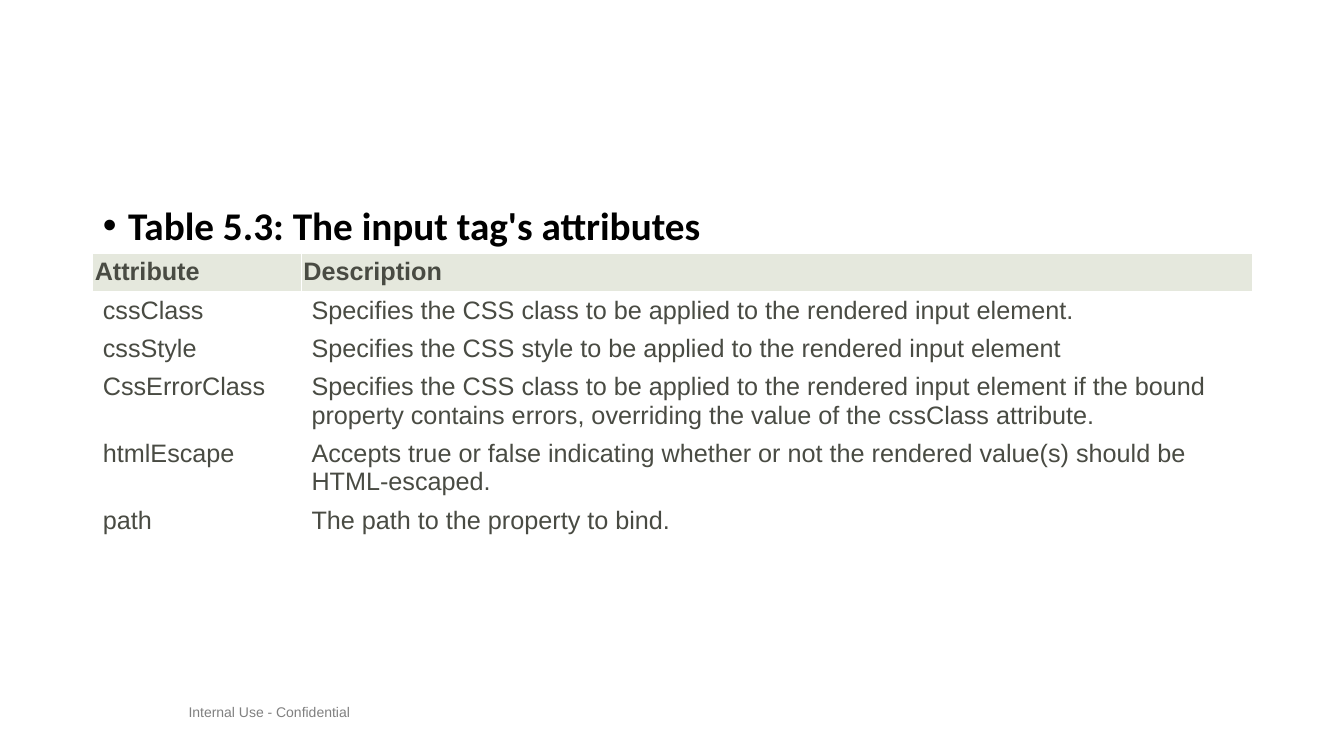
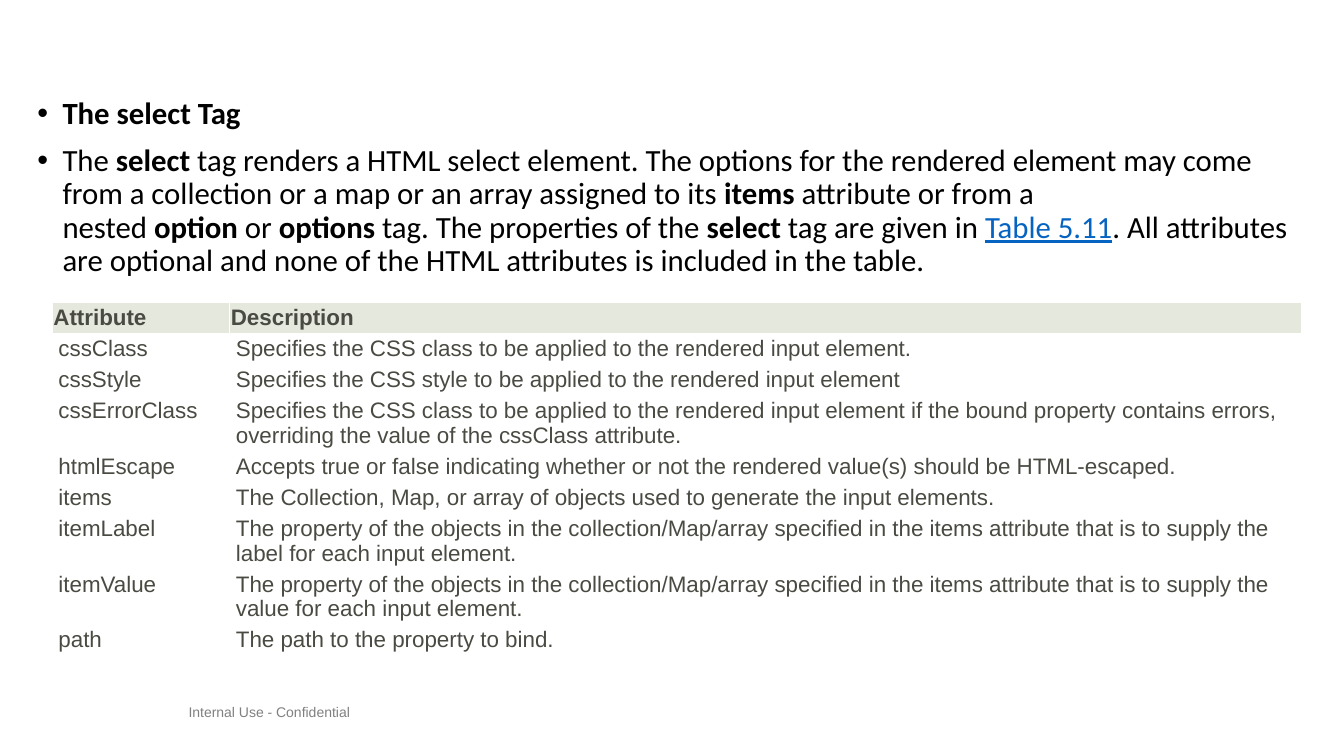
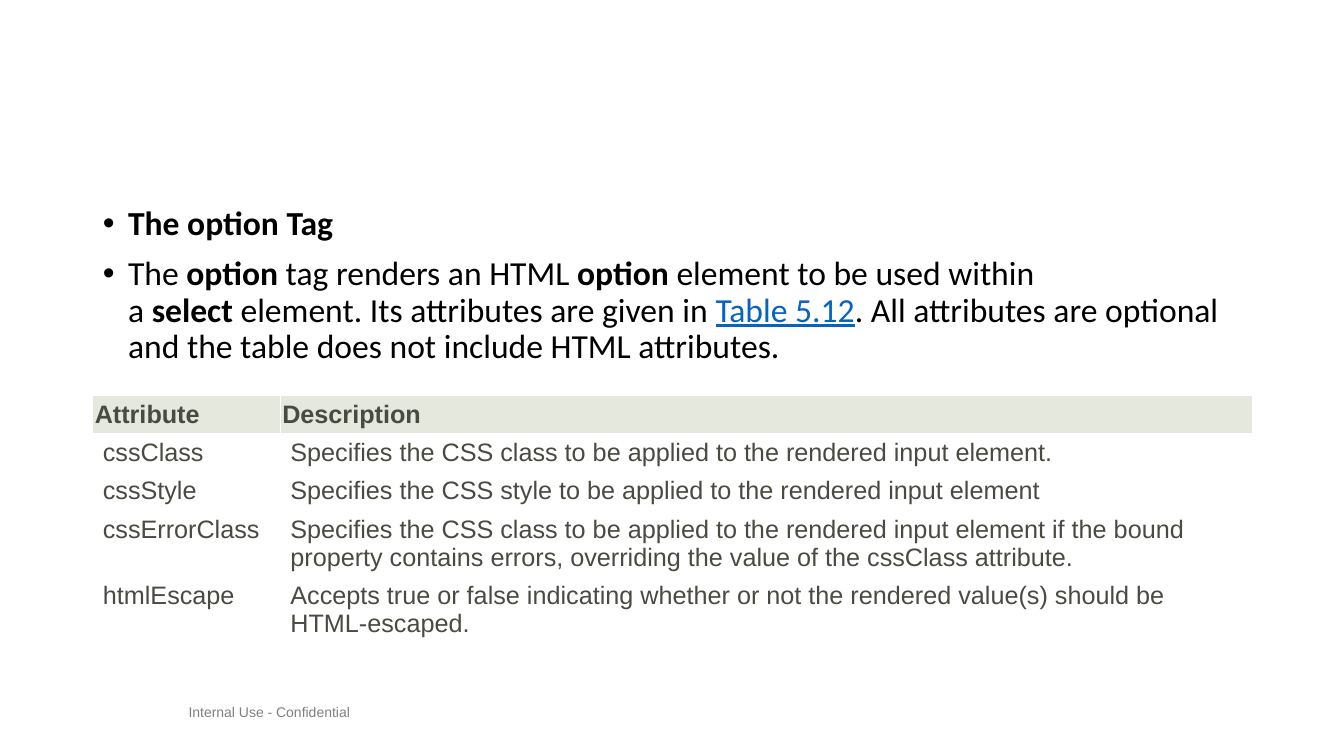
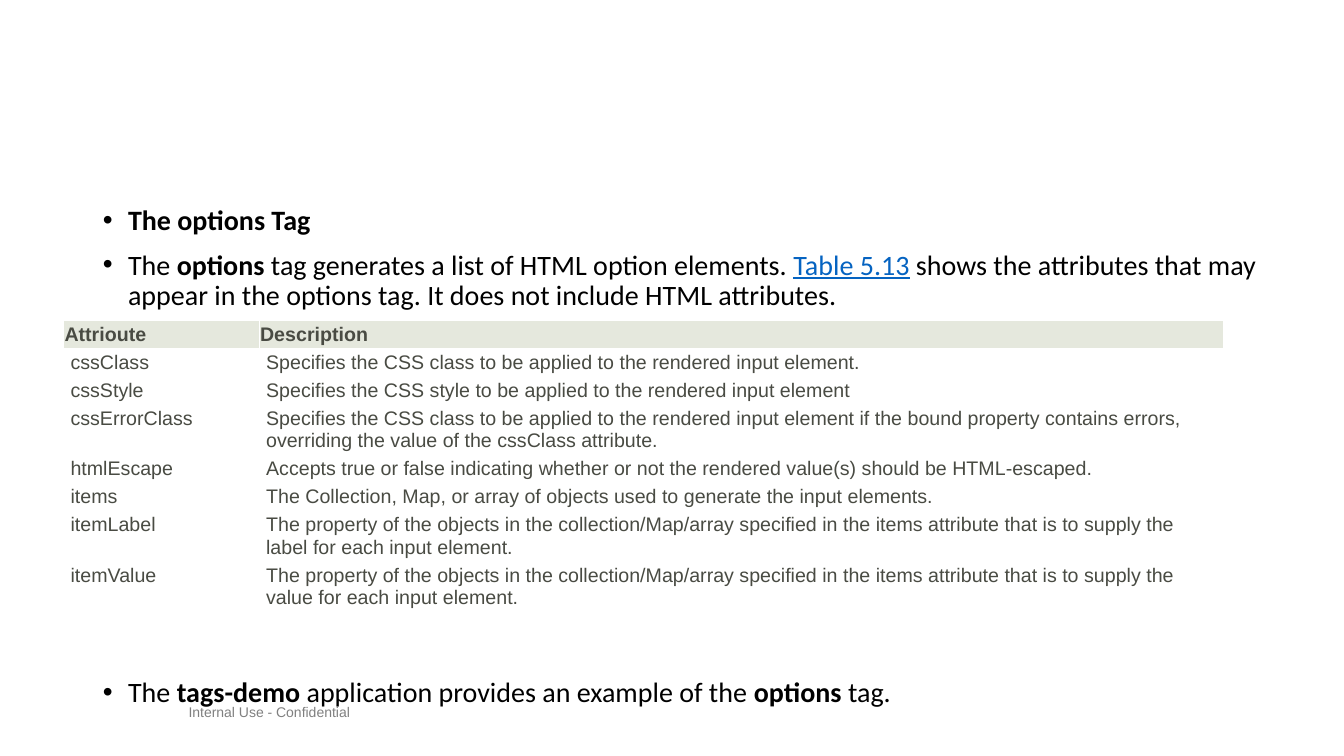
from lxml import etree
from pptx import Presentation
from pptx.dml.color import RGBColor
from pptx.enum.text import MSO_AUTO_SIZE
from pptx.oxml.ns import qn
from pptx.util import Pt

PX = 9144
NO_FIT = MSO_AUTO_SIZE.NONE
BLACK = RGBColor(0x00, 0x00, 0x00)
WHITE = RGBColor(0xFF, 0xFF, 0xFF)
GREY = RGBColor(0x80, 0x80, 0x80)
LINK = RGBColor(0x05, 0x63, 0xC1)
CELL_TEXT = RGBColor(0x49, 0x4B, 0x43)
HEADER_FILL = RGBColor(0xE5, 0xE8, 0xDD)
BODY_FONT = "Calibri"
TABLE_FONT = "Arial"
NBSP = chr(160)
HEADER = ("Attribute", "Description")
ITEM_ROWS = [
    ("items", "The Collection, Map, or array of objects used to generate the input elements."),
    ("itemLabel", "The property of the objects in the collection/Map/array specified in the items "
                  "attribute that is to supply the label for each input element."),
    ("itemValue", "The property of the objects in the collection/Map/array specified in the items "
                  "attribute that is to supply the value for each input element."),
]
PATH_ROW = ("path", "The path to the property to bind.")


def css_rows(error_name="cssErrorClass"):
    return [
        ("cssClass", "Specifies the CSS class to be applied to the rendered input element."),
        ("cssStyle", "Specifies the CSS style to be applied to the rendered input element"),
        (error_name, "Specifies the CSS class to be applied to the rendered input element if the "
                     "bound property contains errors, overriding the value of the cssClass attribute."),
        ("htmlEscape", "Accepts true or false indicating whether or not the rendered value(s) "
                       "should be HTML-escaped."),
    ]


def px(*values):
    return [v * PX for v in values]


def style_run(r, font, size, color, bold=False):
    r.font.name = font
    r.font.size = Pt(size)
    r.font.color.rgb = color
    r.font.bold = bold


def add_shared_footer(s, layout):
    sp = s.shapes.add_textbox(*px(0, 693, 1333, 61))
    tf = sp.text_frame
    tf.word_wrap = True
    tf.margin_left = 187 * PX
    tf.text = "Internal Use - Confidential"
    style_run(tf.paragraphs[0].runs[0], TABLE_FONT, 10, GREY)
    layout.element.cSld.spTree.append(sp.element)


def add_slide(prs, layout):
    s = prs.slides.add_slide(layout)
    title = s.shapes.title.element
    title.getparent().remove(title)
    return s


def set_bullet(p, space_before=10):
    p.line_spacing = 0.9
    p.space_before = Pt(space_before)
    pPr = p._p.get_or_add_pPr()
    pPr.set("marL", str(25 * PX))
    pPr.set("indent", str(-25 * PX))
    etree.SubElement(pPr, qn("a:buFont")).set("typeface", "Arial")
    etree.SubElement(pPr, qn("a:buChar")).set("char", "•")


def add_marked_runs(p, text, size):
    # "|" parts runs, "*" opens bold, "_" opens link style, "~" binds words
    for part in text.replace("~", NBSP).split("|"):
        r = p.add_run()
        r.text = part.lstrip("*_")
        is_link = part.startswith("_")
        style_run(r, BODY_FONT, size, LINK if is_link else BLACK, part.startswith("*"))
        if is_link:
            r.font.underline = True


def fill_body(s, box, size, bullets, last_gap=10):
    sp = s.placeholders[1]
    sp.left, sp.top, sp.width, sp.height = px(*box)
    tf = sp.text_frame
    tf.auto_size = NO_FIT
    for i, text in enumerate(bullets):
        p = tf.paragraphs[0] if i == 0 else tf.add_paragraph()
        set_bullet(p, last_gap if i == len(bullets) - 1 else 10)
        add_marked_runs(p, text, size)


def set_borders(cell):
    tcPr = cell._tc.get_or_add_tcPr()
    for i, side in enumerate(("lnL", "lnR", "lnT", "lnB")):
        ln = etree.Element(qn("a:" + side), w=str(Pt(0.75)))
        fill = etree.SubElement(ln, qn("a:solidFill"))
        etree.SubElement(fill, qn("a:srgbClr")).set("val", str(WHITE))
        tcPr.insert(i, ln)


def fill_cell(cell, text, size, is_header, pad_x, pad_y):
    cell.margin_left = cell.margin_right = pad_x * PX
    cell.margin_top = cell.margin_bottom = pad_y * PX
    cell.text = text
    style_run(cell.text_frame.paragraphs[0].runs[0], TABLE_FONT, size, CELL_TEXT, is_header)
    cell.fill.solid()
    cell.fill.fore_color.rgb = HEADER_FILL if is_header else WHITE
    set_borders(cell)


def add_attribute_table(s, left, top, col_widths, rows, size, header_pad, pad_x, pad_y, line_chars):
    heights = [int(size * 1.54) * -(-len(text) // line_chars) + 2 * pad_y for _, text in rows]
    frame = s.shapes.add_table(len(rows), 2, *px(left, top, sum(col_widths), sum(heights)))
    table = frame.table
    for col, width in zip(table.columns, col_widths):
        col.width = width * PX
    for i, row in enumerate(rows):
        table.rows[i].height = heights[i] * PX
        for j, text in enumerate(row):
            fill_cell(table.cell(i, j), text, size, i == 0, pad_x if i else header_pad, pad_y)


def build_input_slide(s):
    fill_body(s, (92, 200, 1150, 476), 28, ["*Table 5.3:~The input tag's attributes"])
    add_attribute_table(s, 92, 251, (207, 943), [HEADER] + css_rows("CssErrorClass") + [PATH_ROW],
                        18, 2, 10, 5, 90)


def build_select_slide(s):
    fill_body(s, (27, 92, 1275, 633), 22, [
        "*The select Tag",
        "The~|*select|~tag renders a HTML select element. The options for the rendered element may "
        "come from a collection or a map or an array assigned to its~|*items |attribute or from a "
        "nested~|*option|~or~|*options|~tag. The properties of the~|*select|~tag are given in~|"
        "_Table 5.11|. All attributes are optional and none of the HTML attributes is included in "
        "the table.",
    ])
    add_attribute_table(s, 52, 300, (176, 1063), [HEADER] + css_rows() + ITEM_ROWS + [PATH_ROW],
                        16, 1, 6, 3, 100)


def build_option_slide(s):
    fill_body(s, (92, 200, 1150, 476), 24, [
        "*The option Tag",
        "The~|*option|~tag renders an HTML~|*option|~element to be used within a~|*select|~element. "
        "Its attributes are given in~|_Table 5.12|. All attributes are optional and the table does "
        "not include HTML attributes.",
    ])
    add_attribute_table(s, 92, 392, (186, 964), [HEADER] + css_rows(), 18, 2, 10, 5, 90)


def build_options_slide(s):
    fill_body(s, (92, 200, 1203, 508), 20, [
        "*The options Tag",
        "The~|*options|~tag generates a list of HTML option elements.~|_Table 5.13|~shows the "
        "attributes that may appear in the options tag. It does not include HTML attributes.",
        "The~|*tags-demo|~application provides an example of the~|*options|~tag.",
    ], last_gap=262)
    add_attribute_table(s, 63, 318, (194, 956),
                        [("Attrioute", "Description")] + css_rows() + ITEM_ROWS,
                        14, 1, 7, 3, 100)


def main():
    prs = Presentation()
    prs.slide_width, prs.slide_height = px(1333, 750)
    layout = prs.slide_layouts[1]
    builders = (build_input_slide, build_select_slide, build_option_slide, build_options_slide)
    for build in builders:
        build(add_slide(prs, layout))
    add_shared_footer(prs.slides[0], layout)
    prs.save("out.pptx")


if __name__ == "__main__":
    main()
